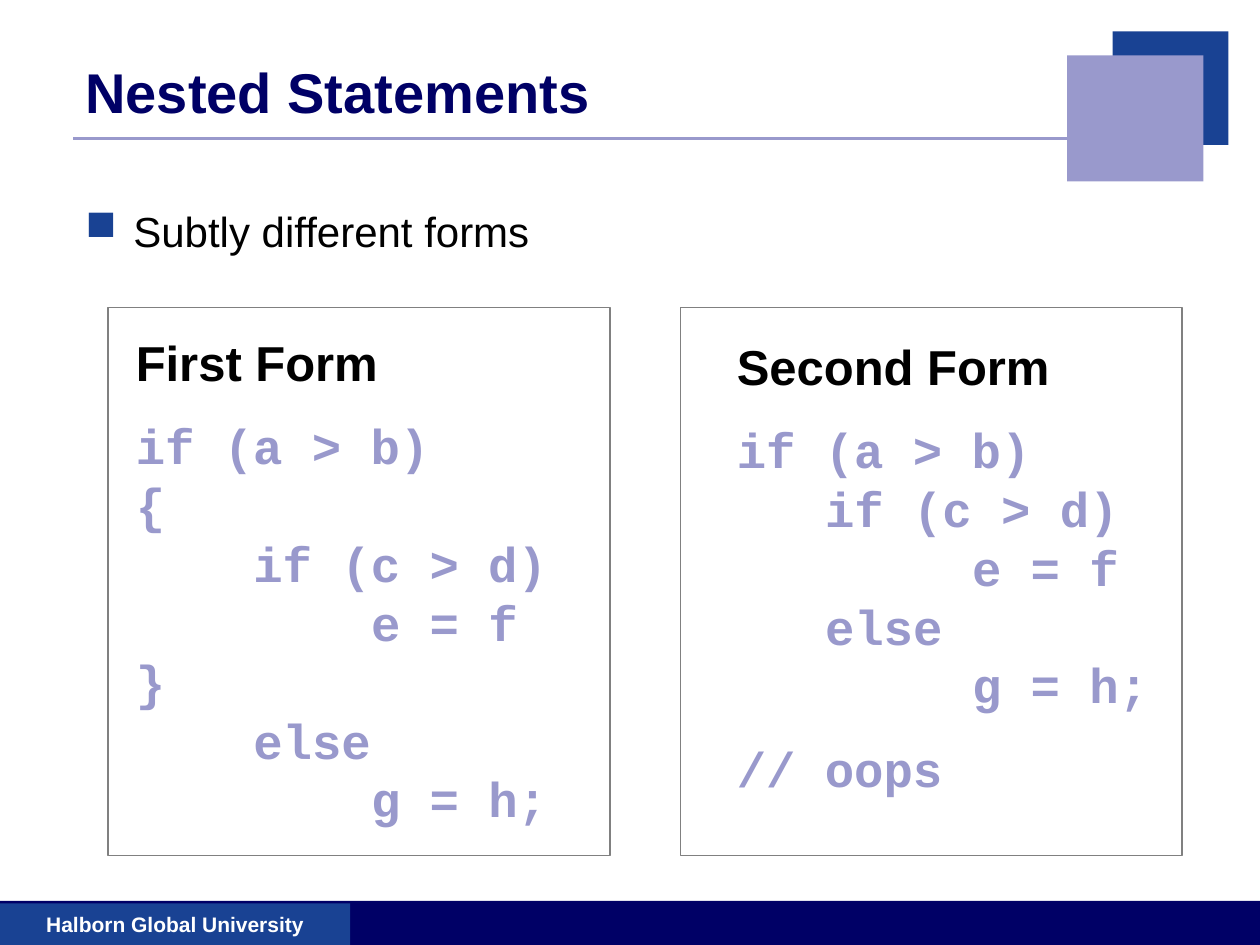
from dataclasses import dataclass
from lxml import etree
from pptx import Presentation
from pptx import util as u
from pptx.dml.color import RGBColor
from pptx.enum import shapes, text
from pptx.oxml import ns


@dataclass
class Theme:
    navy: str = "000066"
    blue: str = "194293"
    lilac: str = "9999CC"
    grey: str = "808080"
    black: str = "000000"
    white: str = "FFFFFF"
    sans: str = "Arial"
    mono: str = "Courier New"
    title: int = 32
    form: int = 28
    body: int = 24
    foot: int = 12


class Deck:
    """Draws styled elements on one slide, with lengths in inches of a 10 by 7.5 grid."""

    def __init__(self, theme):
        self.theme = theme
        self.prs = Presentation()
        self.prs.slide_width, self.prs.slide_height = u.Inches(10), u.Inches(7.5)
        self.slide = self.prs.slides.add_slide(self.prs.slide_layouts[6])

    def rect(self, box, fill=None, edge=None):
        item = self.slide.shapes.add_shape(shapes.MSO_SHAPE.RECTANGLE, *map(u.Inches, box))
        item.shadow.inherit = False
        if fill:
            item.fill.solid()
            item.fill.fore_color.rgb = RGBColor.from_string(fill)
        else:
            item.fill.background()
        if edge:
            item.line.color.rgb = RGBColor.from_string(edge)
            item.line.width = u.Pt(1)
        else:
            item.line.fill.background()
        return item

    def rule(self, left, right, top, color, width):
        ends = map(u.Inches, (left, top, right, top))
        line = self.slide.shapes.add_connector(shapes.MSO_CONNECTOR.STRAIGHT, *ends)
        line.line.color.rgb = RGBColor.from_string(color)
        line.line.width = u.Pt(width)
        etree.SubElement(line._element.spPr, ns.qn("a:effectLst"))

    def frame(self, box, anchor=text.MSO_ANCHOR.TOP):
        area = self.slide.shapes.add_textbox(*map(u.Inches, box)).text_frame
        area.word_wrap = True
        area.vertical_anchor = anchor
        return area

    def say(self, area, words, size, color, bold=True, face=None, gap=0, inset=0):
        para = area.paragraphs[0]
        if para.runs:
            para = area.add_paragraph()
        para.text = words
        para.space_before = u.Pt(gap)
        font = para.font
        font.size, font.bold, font.name = u.Pt(size), bold, face or self.theme.sans
        font.color.rgb = RGBColor.from_string(color)
        if inset:
            para._p.get_or_add_pPr().set("marL", str(u.Pt(inset)))
        return para

    def bullet(self, para, mark, color, hang):
        props = para._p.get_or_add_pPr()
        props.set("marL", str(u.Inches(hang)))
        props.set("indent", str(-u.Inches(hang)))
        tint = etree.Element(ns.qn("a:buClr"))
        etree.SubElement(tint, ns.qn("a:srgbClr"), val=color)
        sign = etree.Element(ns.qn("a:buChar"), char=mark)
        spot = props.index(props.find(ns.qn("a:defRPr")))
        props.insert(spot, tint)
        props.insert(spot + 1, sign)

    def code(self, box, head, lines):
        look = self.theme
        area = self.frame(box)
        self.say(area, head, look.form, look.black)
        for words, chars, gap in lines:
            self.say(area, words, look.form, look.lilac, face=look.mono,
                     gap=gap, inset=chars * look.form * 0.6)


look = Theme()
deck = Deck(look)

deck.rect((0, 7.15, 10, 0.35), look.navy)
deck.rule(0.58, 8.5, 1.1, look.lilac, 2)
deck.rect((8.83, 0.25, 0.92, 0.9), look.blue)
deck.rect((8.47, 0.44, 1.08, 1), look.lilac)

badge = deck.rect((0, 7.17, 2.78, 0.33), look.blue).text_frame
badge.vertical_anchor = text.MSO_ANCHOR.MIDDLE
name = deck.say(badge, "Halborn Global University", look.foot, look.white)
name.alignment = text.PP_ALIGN.CENTER

title = deck.frame((0.58, 0.31, 7.67, 0.83), text.MSO_ANCHOR.MIDDLE)
deck.say(title, "Nested Statements", look.title, look.navy)

body = deck.frame((0.58, 1.58, 8.92, 5.17))
point = deck.say(body, "Subtly different forms", look.body, look.black, bold=False)
deck.bullet(point, "■", look.blue, 0.38)

deck.code((0.98, 2.59, 3.73, 4.07), "First Form", [
    ("if (a > b)", 0, 14), ("{", 0, 0), ("if (c > d)", 4, 0), ("e = f", 8, 0),
    ("}", 0, 0), ("else", 4, 0), ("g = h;", 8, 0)])
deck.code((5.75, 2.62, 3.73, 3.84), "Second Form", [
    ("if (a > b)", 0, 14), ("if (c > d)", 3, 0), ("e = f", 8, 0),
    ("else", 3, 0), ("g = h;", 8, 0), ("// oops", 0, 14)])

for left in (0.86, 5.4):
    deck.rect((left, 2.44, 3.98, 4.35), edge=look.grey)

deck.prs.save("out.pptx")
